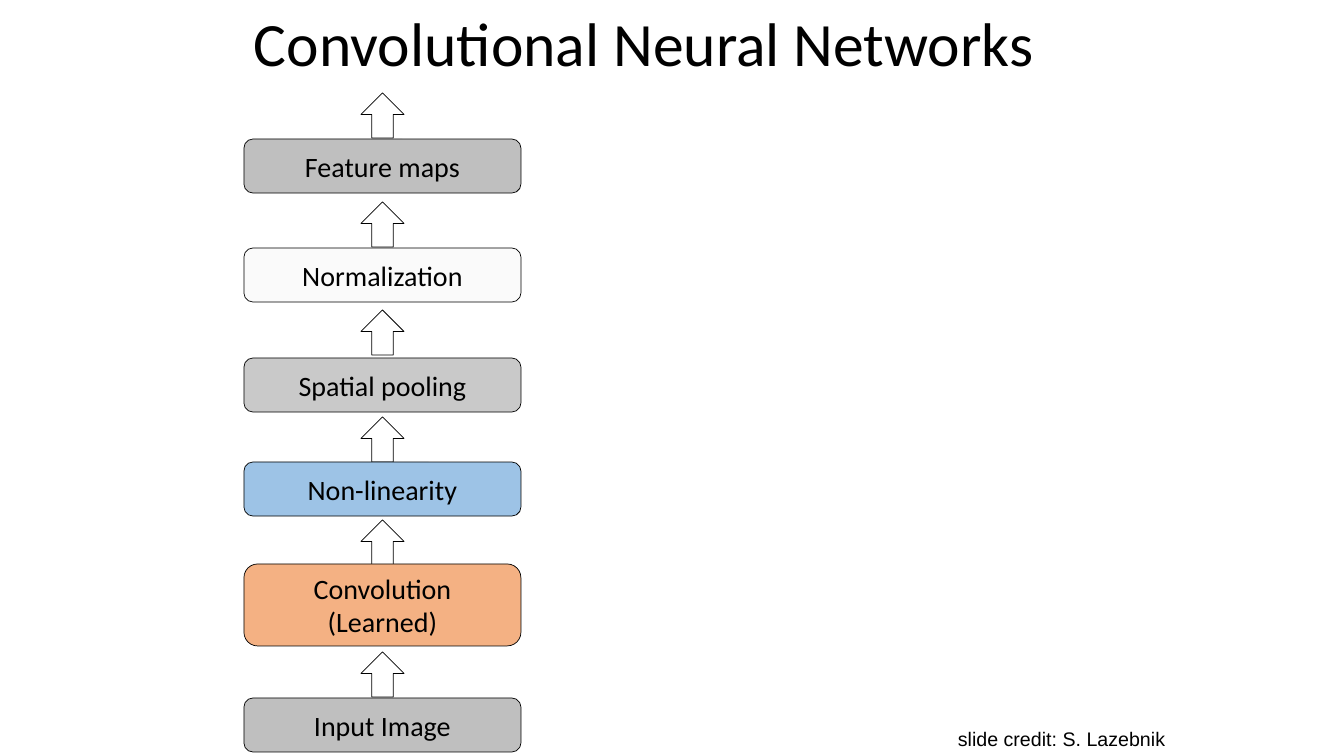
from collections import namedtuple
from dataclasses import dataclass

from pptx import Presentation
from pptx import util as u
from pptx.dml.color import RGBColor
from pptx.enum import shapes, text

Box = namedtuple("Box", "left top width height")
Layer = namedtuple("Layer", "label top height arrow_top fill")


@dataclass(frozen=True)
class Theme:
    ink: str = "000000"
    paper: str = "FFFFFF"
    gray: str = "BFBFBF"
    silver: str = "C9C9C9"
    pale: str = "FAFAFA"
    blue: str = "9DC3E6"
    orange: str = "F4B183"
    body_font: str = "Calibri"
    credit_font: str = "Arial"
    title_size: int = 44
    label_size: int = 20
    credit_size: int = 14
    outline: float = 0.5


THEME = Theme()
PX = u.Inches(1) / 100.8
ARROW_WIDTH, ARROW_HEIGHT = 43, 45
LAYERS = [
    Layer("Input Image", 698, 54, 652, THEME.gray),
    Layer("Convolution (Learned)", 564, 82, 520, THEME.orange),
    Layer("Non-linearity", 462, 54, 417, THEME.blue),
    Layer("Spatial pooling", 358, 54, 310, THEME.silver),
    Layer("Normalization", 248, 54, 202, THEME.pale),
    Layer("Feature maps", 139, 54, 93, THEME.gray),
]


def place(box):
    return [u.Emu(round(length * PX)) for length in box]


def write(frame, words, size, font, align, anchor, wrap=True):
    frame.word_wrap = wrap
    frame.vertical_anchor = anchor
    para = frame.paragraphs[0]
    para.text = words
    para.alignment = align
    para.font.name = font
    para.font.size = u.Pt(size)
    para.font.color.rgb = RGBColor.from_string(THEME.ink)
    return para


def add_block(page, kind, box, fill):
    block = page.shapes.add_shape(kind, *place(box))
    block.shadow.inherit = False
    block.fill.solid()
    block.fill.fore_color.rgb = RGBColor.from_string(fill)
    block.line.color.rgb = RGBColor.from_string(THEME.ink)
    block.line.width = u.Pt(THEME.outline)
    return block


def add_title(page, box):
    title = page.shapes.add_textbox(*place(box))
    para = write(title.text_frame, "Convolutional Neural Networks", THEME.title_size,
                 THEME.body_font, text.PP_ALIGN.LEFT, text.MSO_ANCHOR.MIDDLE)
    para.line_spacing = 0.9


def add_layer_stack(page, box):
    arrow_left = box.left + (box.width - ARROW_WIDTH) / 2
    for layer in LAYERS:
        add_block(page, shapes.MSO_SHAPE.UP_ARROW,
                  Box(arrow_left, box.top + layer.arrow_top, ARROW_WIDTH, ARROW_HEIGHT),
                  THEME.paper)
        block = add_block(page, shapes.MSO_SHAPE.ROUNDED_RECTANGLE,
                          Box(box.left, box.top + layer.top, box.width, layer.height),
                          layer.fill)
        write(block.text_frame, layer.label, THEME.label_size, THEME.body_font,
              text.PP_ALIGN.CENTER, text.MSO_ANCHOR.MIDDLE)


def add_credit(page, box):
    credit = page.shapes.add_textbox(*place(box))
    write(credit.text_frame, "slide credit: S. Lazebnik", THEME.credit_size,
          THEME.credit_font, text.PP_ALIGN.LEFT, text.MSO_ANCHOR.TOP, wrap=False)
    credit.text_frame.auto_size = text.MSO_AUTO_SIZE.SHAPE_TO_FIT_TEXT


def main():
    deck = Presentation()
    deck.slide_width, deck.slide_height = place((1344, 756))
    page = deck.slides.add_slide(deck.slide_layouts[6])
    add_layer_stack(page, Box(244, 0, 277, 756))
    add_title(page, Box(244, 0, 958, 93))
    add_credit(page, Box(948, 722, 229, 34))
    deck.save("out.pptx")


if __name__ == "__main__":
    main()
